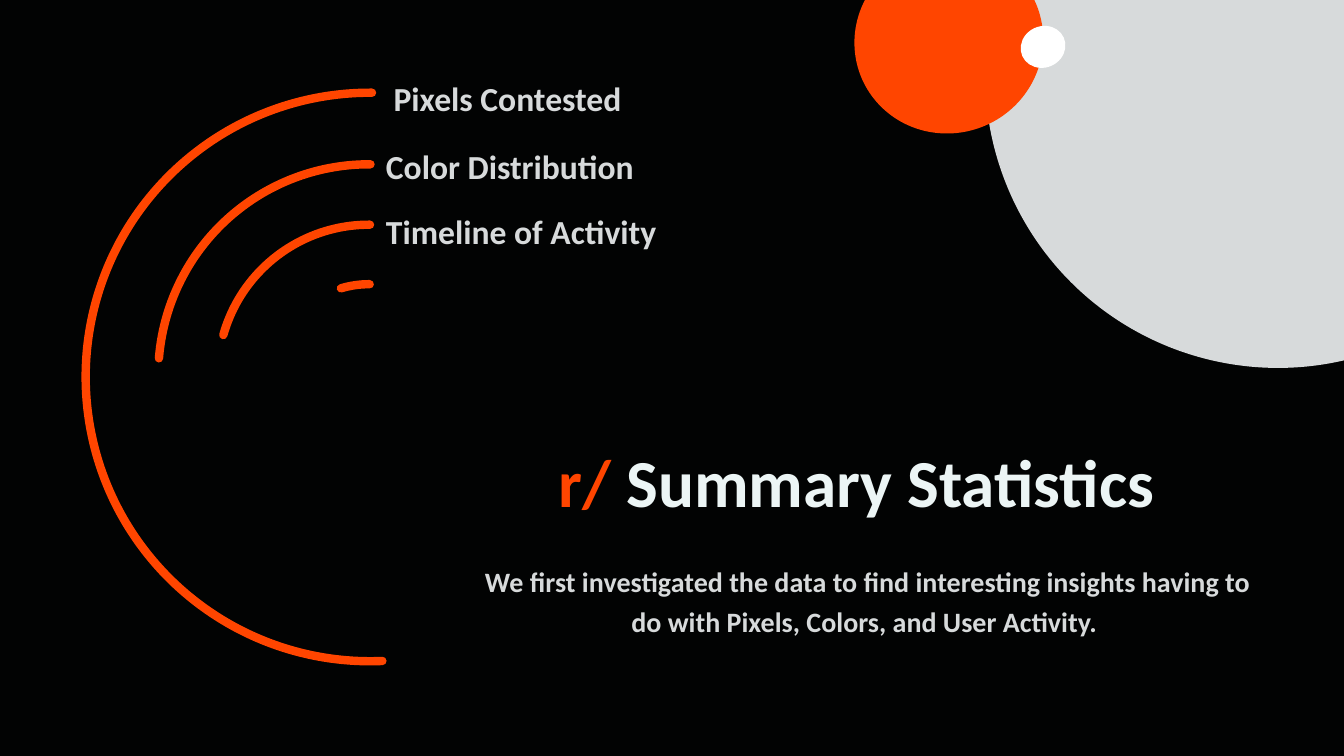
"""Build the summary statistics section slide with nested arcs and planet circles."""
from dataclasses import dataclass
from typing import Optional

from lxml.etree import SubElement
from pptx import Presentation
from pptx.dml.color import RGBColor
from pptx.enum.shapes import MSO_SHAPE as Preset
from pptx.enum.text import MSO_AUTO_SIZE as AutoSize, PP_ALIGN as Align
from pptx.oxml.ns import qn
from pptx.shapes.shapetree import GroupShapes, SlideShapes
from pptx.util import Inches, Pt

COLORS = {
    "night": "020303",
    "silver": "D7DADB",
    "orange": "FF4500",
    "white": "FFFFFF",
    "ice": "ECF5F5",
}
FONT = "Calibri"
ARC_END = 270.41
ADJUSTMENT_PER_DEGREE = 0.6


@dataclass
class Circle:
    left: float
    top: float
    width: float
    height: float
    color: str
    rotation: float


@dataclass
class Arc:
    left: float
    top: float
    diameter: float
    start: float


@dataclass
class Label:
    left: float
    top: float
    width: float
    height: float
    size: int
    runs: list[tuple[str, str]]
    align: Align = Align.LEFT
    spacing: Optional[float] = 1.2
    wrap: bool = True


PLANET = Circle(9.77, -2.16, 5.81, 5.81, "silver", 135)
MOONS = [
    Circle(8.47, -0.51, 1.88, 1.83, "orange", 156),
    Circle(10.12, 0.26, 0.45, 0.41, "white", 156),
]
ARCS = [
    Arc(0.85, 0.92, 5.64, 87.5),
    Arc(1.57, 1.63, 4.18, 184.53),
    Arc(2.16, 2.23, 3, 195.69),
    Arc(2.69, 2.82, 1.94, 253.33),
]
LABELS = [
    Label(3.73, 0.64, 3.17, 0.55, 24, [(" Pixels Contested", "silver")]),
    Label(3.73, 1.32, 2.67, 0.55, 24, [("Color Distribution", "silver")]),
    Label(3.73, 1.96, 3.29, 0.55, 24, [("Timeline of Activity", "silver")]),
    Label(5.36, 4.32, 6.19, 0.91, 48,
          [("r/", "orange"), (" Summary Statistics", "ice")],
          align=Align.RIGHT, spacing=None, wrap=False),
    Label(4.64, 5.48, 7.93, 0.88, 20,
          [("We first investigated the data to find interesting insights having to "
            "do with Pixels, Colors, and User Activity. ", "silver")],
          align=Align.CENTER),
]


def rgb(name: str) -> RGBColor:
    return RGBColor.from_string(COLORS[name])


def draw_circle(shapes: SlideShapes | GroupShapes, circle: Circle) -> None:
    shape = shapes.add_shape(Preset.OVAL, Inches(circle.left), Inches(circle.top),
                             Inches(circle.width), Inches(circle.height))
    shape.shadow.inherit = False
    shape.rotation = circle.rotation
    shape.fill.solid()
    shape.fill.fore_color.rgb = rgb(circle.color)
    shape.line.fill.background()


def draw_arc(shapes: SlideShapes, arc: Arc) -> None:
    shape = shapes.add_shape(Preset.ARC, Inches(arc.left), Inches(arc.top),
                             Inches(arc.diameter), Inches(arc.diameter))
    shape.shadow.inherit = False
    shape.adjustments[0] = arc.start * ADJUSTMENT_PER_DEGREE
    shape.adjustments[1] = ARC_END * ADJUSTMENT_PER_DEGREE
    shape.fill.background()
    shape.line.color.rgb = rgb("orange")
    shape.line.width = Pt(6)
    outline = shape.line._get_or_add_ln()
    outline.set("cap", "rnd")
    SubElement(outline, qn("a:round"))


def draw_label(shapes: SlideShapes, label: Label) -> None:
    box = shapes.add_textbox(Inches(label.left), Inches(label.top),
                             Inches(label.width), Inches(label.height))
    frame = box.text_frame
    frame.word_wrap = label.wrap
    frame.auto_size = AutoSize.SHAPE_TO_FIT_TEXT
    paragraph = frame.paragraphs[0]
    paragraph.alignment = label.align
    paragraph.line_spacing = label.spacing
    for text, color in label.runs:
        run = paragraph.add_run()
        run.text = text
        run.font.name = FONT
        run.font.size = Pt(label.size)
        run.font.bold = True
        run.font.color.rgb = rgb(color)


def main() -> None:
    presentation = Presentation()
    presentation.slide_width = Inches(13.33)
    presentation.slide_height = Inches(7.5)
    slide = presentation.slides.add_slide(presentation.slide_layouts[6])
    slide.background.fill.solid()
    slide.background.fill.fore_color.rgb = rgb("night")

    draw_circle(slide.shapes, PLANET)
    for arc in ARCS:
        draw_arc(slide.shapes, arc)
    for label in LABELS:
        draw_label(slide.shapes, label)
    moon_group = slide.shapes.add_group_shape()
    for moon in MOONS:
        draw_circle(moon_group.shapes, moon)

    presentation.save("out.pptx")


if __name__ == "__main__":
    main()
